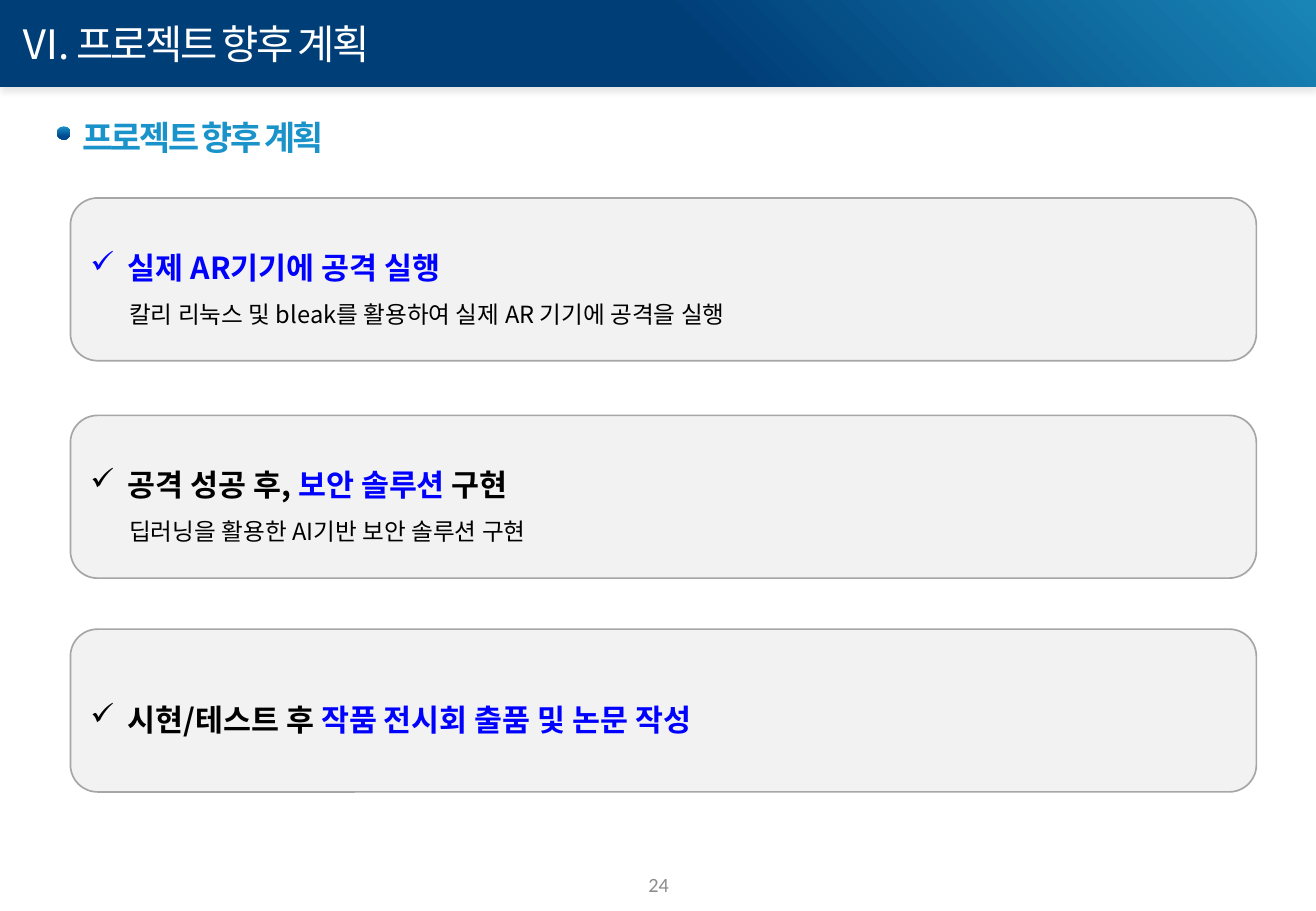
"""Build the project roadmap slide with three rounded plan cards."""
import pptx
import pptx.dml.color
import pptx.enum.shapes
import pptx.enum.text
import pptx.oxml
import pptx.oxml.ns
import pptx.util
from pptx.util import Inches

TITLE = "Ⅵ. 프로젝트 향후 계획"
HEADING = "프로젝트 향후 계획"
PAGE_NUMBER = "24"
CARDS = [
    (1.63, [("실제 AR기기에 공격 실행", "key")],
     "칼리 리눅스 및 bleak를 활용하여 실제 AR 기기에 공격을 실행"),
    (3.42, [("공격 성공 후, ", "text"), ("보안 솔루션", "key"), (" 구현", "text")],
     "딥러닝을 활용한 AI기반 보안 솔루션 구현"),
    (5.18, [("시현/테스트 후 ", "text"), ("작품 전시회 출품 및 논문 작성", "key")], None),
]
THEME = {
    "font": "Noto Sans CJK KR", "number_font": "Calibri",
    "title_size": 24, "heading_size": 20, "card_size": 18, "detail_size": 14,
    "number_size": 12,
    "white": "FFFFFF", "text": "000000", "key": "0000FF", "number": "8C8C8C",
    "card": "F2F2F2", "border": "A6A6A6",
    "banner": (("1985B7", 0), ("003E78", 0.47), 135),
    "accent": (("1A93CA", 0), ("00498E", 0.76), 90),
}
SHAPE = pptx.enum.shapes.MSO_SHAPE
ALIGN = pptx.enum.text.PP_ALIGN
ANCHOR = pptx.enum.text.MSO_ANCHOR
SLIDE_WIDTH, SLIDE_HEIGHT = 10.83, 7.5
CARD_LEFT, CARD_WIDTH, CARD_HEIGHT = 0.58, 9.76, 1.34
BULLET_INDENT, DETAIL_INDENT = 0.31, 0.32


def rgb(value):
    return pptx.dml.color.RGBColor.from_string(value)


def paint(fill, colour):
    """Apply a solid colour or a two-stop gradient with a clockwise angle."""
    if isinstance(colour, str):
        fill.solid()
        fill.fore_color.rgb = rgb(colour)
        return
    *stops, angle = colour
    fill.gradient()
    fill.gradient_angle = 360 - angle
    for stop, (value, position) in zip(fill.gradient_stops, stops):
        stop.color.rgb = rgb(value)
        stop.position = position


def add_text(para, text, *, size, colour, font=THEME["font"], bold=False, spacing=None):
    span = para.add_run()
    span.text = text
    span.font.size = pptx.util.Pt(size)
    span.font.bold = bold
    span.font.name = font
    paint(span.font.fill, colour)
    properties = span.font._element
    east_asian = pptx.oxml.parse_xml(f'<a:ea {pptx.oxml.ns.nsdecls("a")} typeface="{font}"/>')
    properties.append(east_asian)
    if spacing is not None:
        properties.set("spc", str(int(spacing * 100)))


def add_label(slide, area, text, *, wrap=True, align=ALIGN.LEFT, anchor=ANCHOR.TOP, **style):
    box = slide.shapes.add_textbox(*map(Inches, area))
    box.text_frame.word_wrap = wrap
    box.text_frame.vertical_anchor = anchor
    para = box.text_frame.paragraphs[0]
    para.alignment = align
    add_text(para, text, **style)


def add_panel(slide, kind, area, colour, border=None):
    panel = slide.shapes.add_shape(kind, *map(Inches, area))
    panel.shadow.inherit = False
    paint(panel.fill, colour)
    if border:
        paint(panel.line.fill, border)
        panel.line.width = pptx.util.Pt(1)
    else:
        panel.line.fill.background()
    return panel


def add_banner(slide):
    banner = add_panel(slide, SHAPE.RECTANGLE, (0, 0, SLIDE_WIDTH, 0.71), THEME["banner"])
    effects = banner._element.spPr.find(pptx.oxml.ns.qn("a:effectLst"))
    effects.append(pptx.oxml.parse_xml(
        f'<a:outerShdw {pptx.oxml.ns.nsdecls("a")} blurRad="{pptx.util.Pt(4)}" '
        f'dist="{pptx.util.Pt(3)}" dir="5400000" algn="t" rotWithShape="0">'
        '<a:srgbClr val="000000"><a:alpha val="10000"/></a:srgbClr></a:outerShdw>'))


def format_card_line(para, indent, bullet=None):
    properties = para._p.get_or_add_pPr()
    properties.set("marL", str(Inches(indent)))
    properties.set("indent", str(-Inches(indent) if bullet else 0))
    if bullet:
        properties.append(pptx.oxml.parse_xml(
            f'<a:buChar {pptx.oxml.ns.nsdecls("a")} char="{bullet}"/>'))
    para.alignment = ALIGN.LEFT
    para.line_spacing = 1.5


def add_card(slide, top, parts, detail):
    card = add_panel(slide, SHAPE.ROUNDED_RECTANGLE,
                     (CARD_LEFT, top, CARD_WIDTH, CARD_HEIGHT), THEME["card"], THEME["border"])
    frame = card.text_frame
    frame.word_wrap = True
    frame.vertical_anchor = ANCHOR.MIDDLE
    para = frame.paragraphs[0]
    format_card_line(para, BULLET_INDENT, "✓")
    for text, role in parts:
        add_text(para, text, size=THEME["card_size"], colour=THEME[role], bold=True)
    if detail:
        para = frame.add_paragraph()
        format_card_line(para, DETAIL_INDENT)
        add_text(para, detail, size=THEME["detail_size"], colour=THEME["text"])


def main():
    deck = pptx.Presentation()
    deck.slide_width, deck.slide_height = Inches(SLIDE_WIDTH), Inches(SLIDE_HEIGHT)
    page = deck.slides.add_slide(deck.slide_layouts[6])
    add_banner(page)
    add_label(page, (4.2, 7.08, 2.44, 0.4), PAGE_NUMBER, align=ALIGN.CENTER,
              anchor=ANCHOR.MIDDLE, size=THEME["number_size"], colour=THEME["number"],
              font=THEME["number_font"])
    add_label(page, (0.07, 0.11, 3.84, 0.5), TITLE, size=THEME["title_size"],
              colour=THEME["white"], spacing=-1.5)
    for card in CARDS:
        add_card(page, *card)
    add_label(page, (0.58, 0.91, 2.23, 0.44), HEADING, wrap=False,
              size=THEME["heading_size"], colour=THEME["accent"], bold=True, spacing=-1.5)
    add_panel(page, SHAPE.OVAL, (0.47, 1.04, 0.11, 0.11), THEME["accent"])
    deck.save("out.pptx")


if __name__ == "__main__":
    main()
